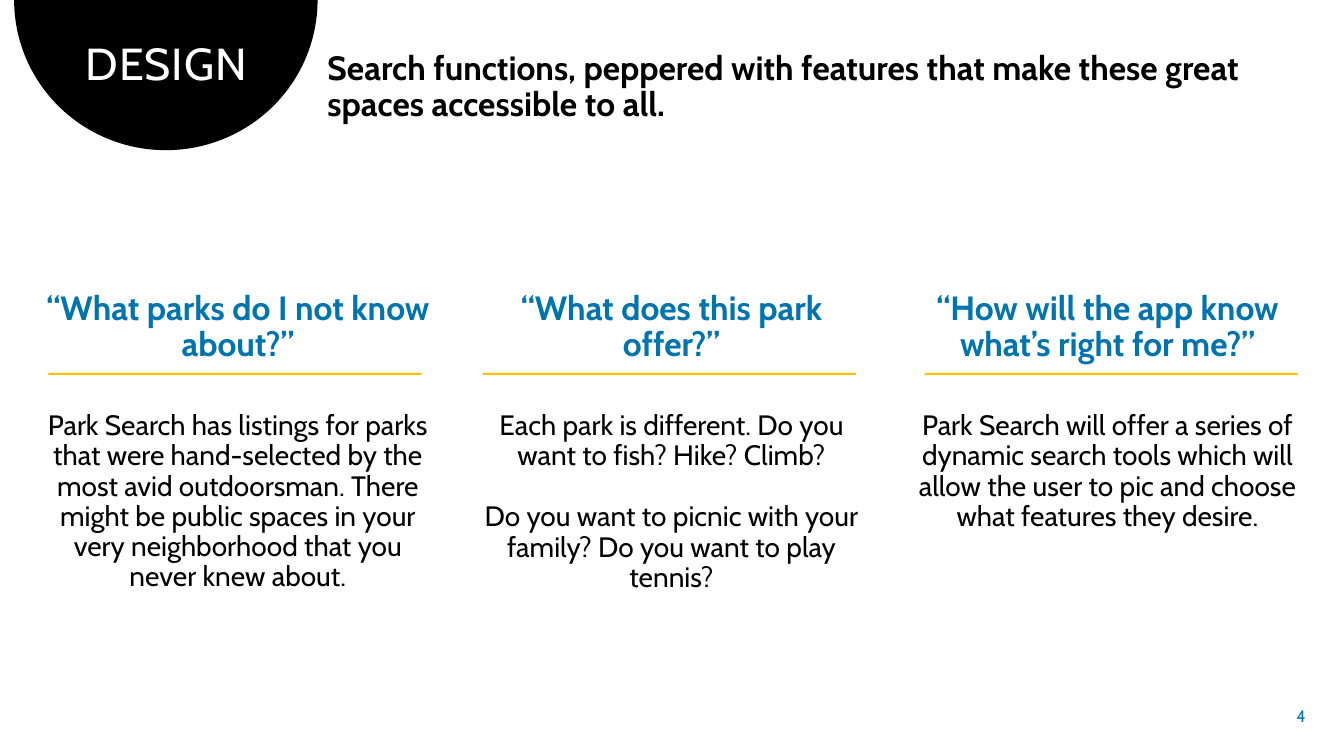
import math
from dataclasses import dataclass
from pptx import Presentation
from pptx.dml.color import RGBColor
from pptx.enum import shapes, text
from pptx.util import Inches, Pt


@dataclass(frozen=True)
class Theme:
    font: str = "Cabin"
    black: str = "000000"
    white: str = "FFFFFF"
    blue: str = "0074AF"
    gold: str = "FFC000"
    title: int = 32
    head: int = 24
    body: int = 20
    small: int = 12


class Deck:
    def __init__(self, theme):
        self.theme = theme
        self.file = Presentation()
        self.file.slide_width = Inches(13.33)
        self.file.slide_height = Inches(7.5)
        self.slide = self.file.slides.add_slide(self.file.slide_layouts[6])

    def paint(self, shape, color):
        shape.shadow.inherit = False
        shape.fill.solid()
        shape.fill.fore_color.rgb = RGBColor.from_string(color)
        shape.line.fill.background()

    def dome(self, left, width, height, color, steps=90):
        rad = width / 2
        dots = []
        for step in range(steps + 1):
            turn = math.pi * step / steps
            dots.append((Inches(left + rad + rad * math.cos(turn)),
                         Inches(height * math.sin(turn))))
        form = self.slide.shapes.build_freeform(*dots[0])
        form.add_line_segments(dots[1:], close=True)
        self.paint(form.convert_to_shape(), color)

    def rule(self, left, top, width):
        bar = self.slide.shapes.add_shape(
            shapes.MSO_SHAPE.RECTANGLE, Inches(left), Inches(top),
            Inches(width), Inches(0.02))
        self.paint(bar, self.theme.gold)

    def box(self, left, top, width, height, anchor=text.MSO_ANCHOR.TOP):
        frame = self.slide.shapes.add_textbox(
            Inches(left), Inches(top), Inches(width), Inches(height)).text_frame
        frame.word_wrap = True
        frame.vertical_anchor = anchor
        return frame

    def para(self, frame, words, size, color, bold=False,
             align=text.PP_ALIGN.CENTER, after=0):
        first = not frame.paragraphs[0].runs
        para = frame.paragraphs[0] if first else frame.add_paragraph()
        para.alignment = align
        para.line_spacing = 0.9
        para.space_before = Pt(0 if first else 10)
        para.space_after = Pt(after)
        run = para.add_run()
        run.text = words
        run.font.name = self.theme.font
        run.font.size = Pt(size)
        run.font.bold = bold
        run.font.color.rgb = RGBColor.from_string(color)
        return run

    def column(self, left, width, height, bar, head, body):
        look = self.theme
        frame = self.box(left, 2.84, width, height)
        self.para(frame, head, look.head, look.blue, True, after=24)
        for words in body:
            self.para(frame, words, look.body, look.black, after=12)
        self.rule(bar, 3.7, 3.7)


COLUMNS = [
    (0.33, 4.06, 3.12, 0.48, "“What parks do I not know about?”",
     ["Park Search has listings for parks that were hand-selected by the most "
      "avid outdoorsman. There might be public spaces in your very "
      "neighborhood that you never knew about."]),
    (4.56, 4.2, 2.76, 4.79, "“What does this park offer?”",
     ["Each park is different. Do you want to fish? Hike? Climb?",
      "Do you want to picnic with your family? Do you want to play tennis?"]),
    (8.92, 4.13, 2.52, 9.17, "“How will the app know what’s right for me?”",
     ["Park Search will offer a series of dynamic search tools which will "
      "allow the user to pic and choose what features they desire."]),
]


def main():
    look = Theme()
    deck = Deck(look)
    deck.dome(0.14, 3.01, 1.49, look.black)
    title = deck.para(deck.box(0.35, 0.37, 2.6, 0.59), "DESIGN",
                      look.title, look.white)
    title.font._element.set("spc", "60")
    deck.para(deck.box(3.15, 0.46, 9.93, 0.83),
              "Search functions, peppered with features that make these great "
              "spaces accessible to all.",
              look.head, look.black, True, text.PP_ALIGN.LEFT)
    for column in COLUMNS:
        deck.column(*column)
    deck.para(deck.box(12.5, 6.91, 0.55, 0.4, text.MSO_ANCHOR.MIDDLE), "4",
              look.small, look.blue, align=text.PP_ALIGN.RIGHT)
    deck.file.save("out.pptx")


if __name__ == "__main__":
    main()
